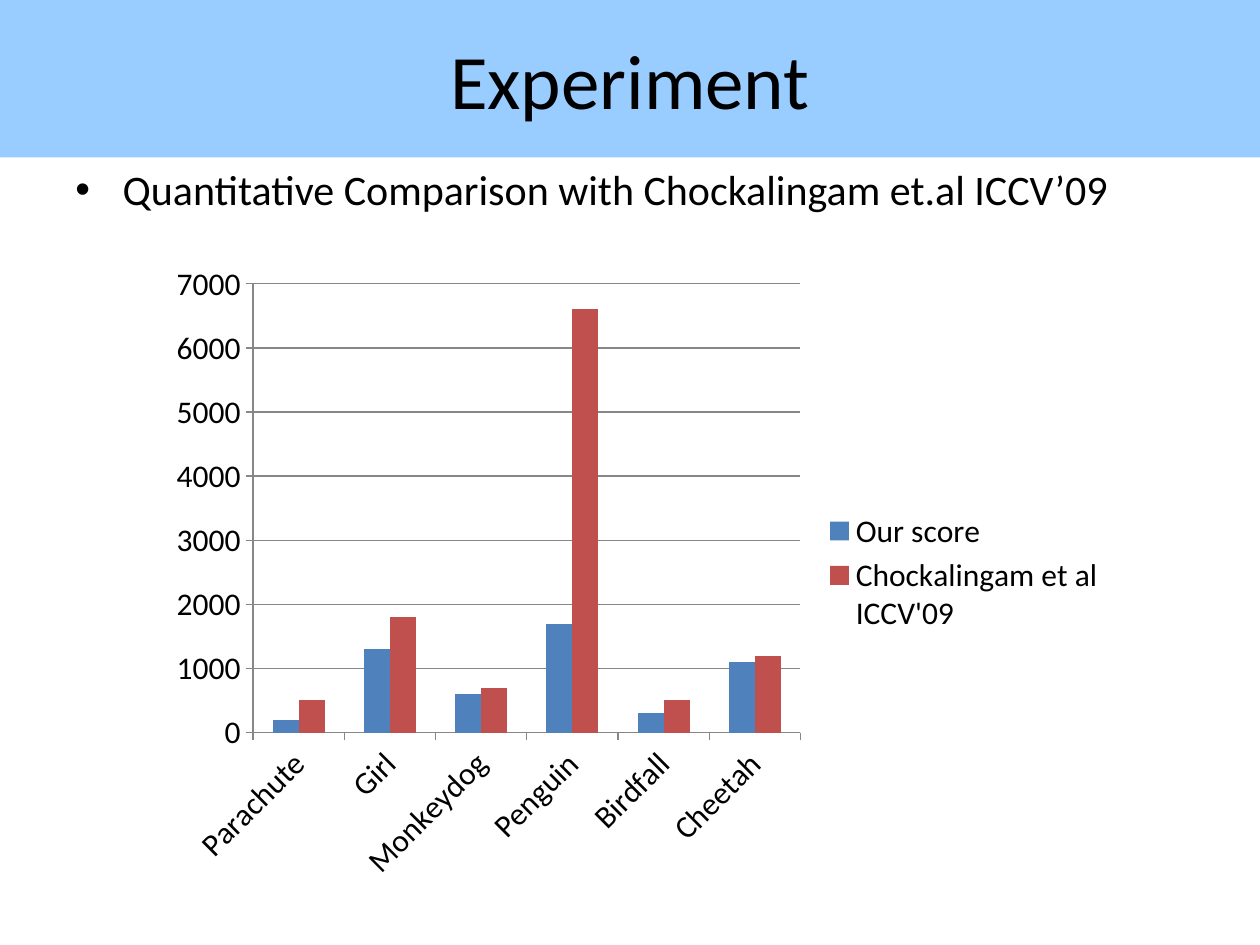
import pptx
import pptx.chart.data
import pptx.dml.color
import pptx.enum.chart
import pptx.enum.shapes
import pptx.enum.text
import pptx.util
from lxml import etree
from pptx.oxml import ns

Pt = pptx.util.Pt
Color = pptx.dml.color.RGBColor.from_string

theme = {
    "font": "Calibri", "text": "000000", "banner": "99CCFF", "axis": "878787",
    "series": ["4F81BD", "C0504D"],
    "title_size": 44, "body_size": 24, "chart_size": 18,
}


def style_font(font, size):
    font.name = theme["font"]
    font.size = Pt(size)
    font.color.rgb = Color(theme["text"])


presentation = pptx.Presentation()
presentation.slide_width, presentation.slide_height = Pt(720), Pt(540)
slide = presentation.slides.add_slide(presentation.slide_layouts[6])

# Title banner
banner = slide.shapes.add_shape(
    pptx.enum.shapes.MSO_SHAPE.RECTANGLE, Pt(0), Pt(0), Pt(720), Pt(90))
banner.shadow.inherit = False
banner.fill.solid()
banner.fill.fore_color.rgb = Color(theme["banner"])
banner.line.fill.background()
banner.text_frame.text = "Experiment"
banner.text_frame.vertical_anchor = pptx.enum.text.MSO_ANCHOR.MIDDLE
paragraph = banner.text_frame.paragraphs[0]
paragraph.alignment = pptx.enum.text.PP_ALIGN.CENTER
style_font(paragraph.runs[0].font, theme["title_size"])

# Bulleted heading
heading = slide.shapes.add_textbox(Pt(36), Pt(90), Pt(648), Pt(60))
heading.text_frame.word_wrap = True
heading.text_frame.text = "Quantitative Comparison with Chockalingam et.al ICCV’09"
paragraph = heading.text_frame.paragraphs[0]
paragraph.space_before = Pt(4.8)
style_font(paragraph.runs[0].font, theme["body_size"])
properties = paragraph._p.get_or_add_pPr()
properties.set("marL", str(Pt(27)))
properties.set("indent", str(Pt(-27)))
etree.SubElement(properties, ns.qn("a:buFont")).set("typeface", "Arial")
etree.SubElement(properties, ns.qn("a:buChar")).set("char", "•")

# Score chart
chart_data = pptx.chart.data.CategoryChartData()
chart_data.categories = [
    "Parachute", "Girl", "Monkeydog", "Penguin", "Birdfall", "Cheetah"]
chart_data.add_series("Our score", [200, 1300, 600, 1700, 300, 1100])
chart_data.add_series(
    "Chockalingam et al ICCV'09", [500, 1800, 700, 6600, 500, 1200])
chart = slide.shapes.add_chart(
    pptx.enum.chart.XL_CHART_TYPE.COLUMN_CLUSTERED,
    Pt(90), Pt(144), Pt(549), Pt(366), chart_data).chart
style_font(chart.font, theme["chart_size"])
chart.has_title = False
chart.has_legend = True
chart.legend.position = pptx.enum.chart.XL_LEGEND_POSITION.RIGHT
chart.legend.include_in_layout = False

plot = chart.plots[0]
plot.gap_width = 150
plot.overlap = 0
plot.vary_by_categories = False
for series, color in zip(plot.series, theme["series"]):
    series.format.fill.solid()
    series.format.fill.fore_color.rgb = Color(color)

# Axes and gridlines
chart.value_axis.minimum_scale = 0
chart.value_axis.maximum_scale = 7000
chart.value_axis.major_unit = 1000
chart.value_axis.has_major_gridlines = True
for axis in (chart.category_axis, chart.value_axis):
    axis.major_tick_mark = pptx.enum.chart.XL_TICK_MARK.OUTSIDE
for lined in (chart.category_axis, chart.value_axis, chart.value_axis.major_gridlines):
    lined.format.line.color.rgb = Color(theme["axis"])
    lined.format.line.width = Pt(0.75)

presentation.save("out.pptx")
